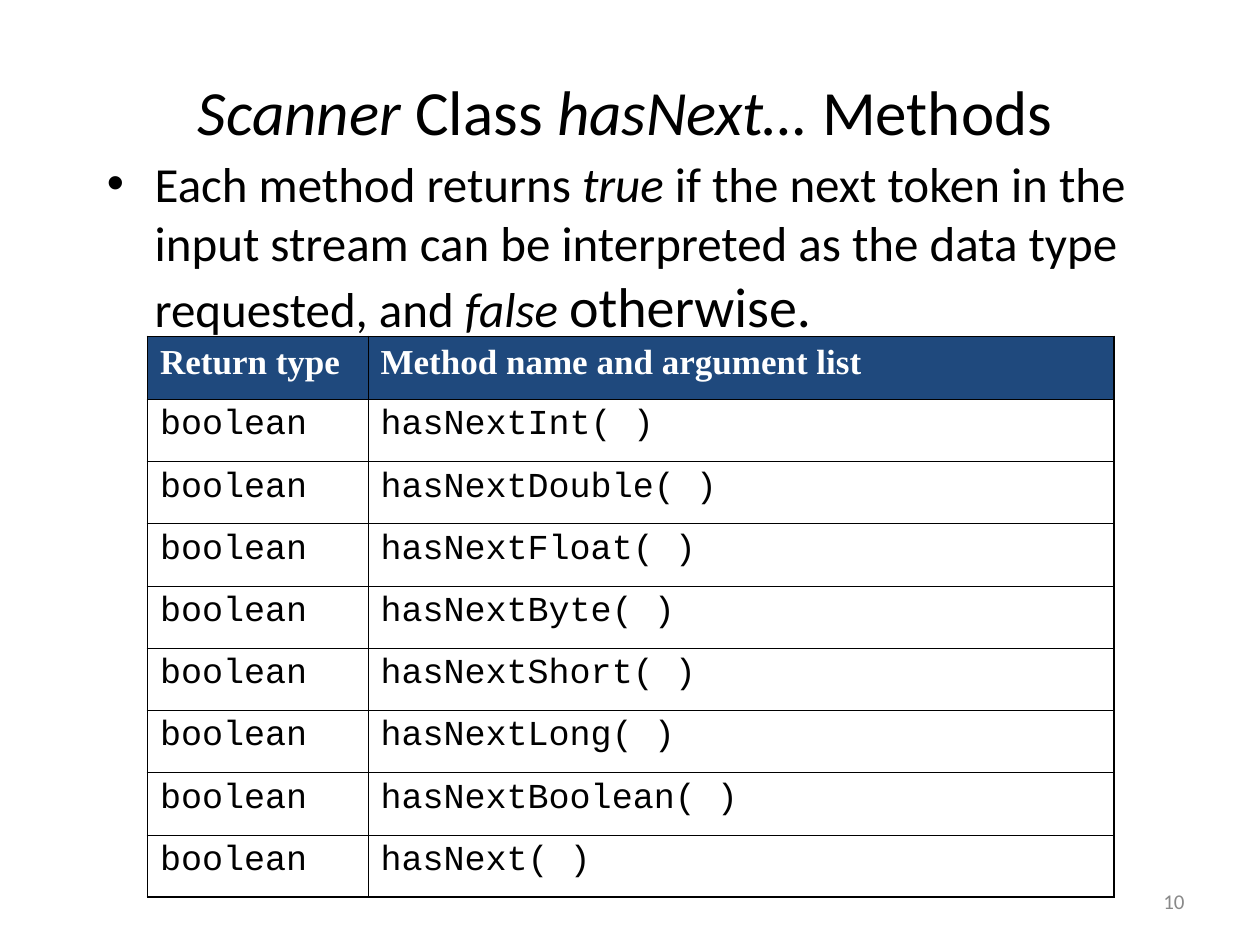
import pptx
import pptx.util
import pptx.dml.color
import pptx.enum.text
import pptx.oxml
import pptx.oxml.ns
import lxml.etree

Inches = pptx.util.Inches
Pt = pptx.util.Pt
ALIGN = pptx.enum.text.PP_ALIGN
ANCHOR = pptx.enum.text.MSO_ANCHOR
COLORS = {"text": "000000", "header": "1F497D", "header_text": "FFFFFF",
          "border": "000000", "number": "898989"}


def add_span(para, text, size=20, font="Calibri", color="text", bold=False, italic=False):
    span = para.add_run()
    span.text = text
    span.font.size = Pt(size)
    span.font.name = font
    span.font.bold = bold
    span.font.italic = italic
    span.font.color.rgb = pptx.dml.color.RGBColor.from_string(COLORS[color])


def add_border(cell, side, width):
    properties = cell._tc.get_or_add_tcPr()
    line = lxml.etree.SubElement(properties, pptx.oxml.ns.qn("a:ln" + side), w=str(Pt(width)))
    fill = lxml.etree.SubElement(line, pptx.oxml.ns.qn("a:solidFill"))
    lxml.etree.SubElement(fill, pptx.oxml.ns.qn("a:srgbClr"), val=COLORS["border"])


deck = pptx.Presentation()
deck.slide_width = Inches(10)
deck.slide_height = Inches(7.5)
page = deck.slides.add_slide(deck.slide_layouts[5])

title = page.shapes.title
title.left, title.top = Inches(0.67), Inches(0.5)
title.width, title.height = Inches(8.58), Inches(0.75)
title.text_frame.vertical_anchor = ANCHOR.MIDDLE
title_para = title.text_frame.paragraphs[0]
title_para.alignment = ALIGN.CENTER
for text, italic in [("Scanner", True), (" Class ", False), ("hasNext…", True), (" Methods", False)]:
    add_span(title_para, text, size=36, italic=italic)

body = page.shapes.add_textbox(Inches(0.75), Inches(1.17), Inches(8.5), Inches(5.92))
body.text_frame.word_wrap = True
body_para = body.text_frame.paragraphs[0]
body_para.space_before = Pt(8)
for text, size, italic in [
    ("Each method returns ", 28, False),
    ("true", 28, True),
    (" if the next token in the input stream can be interpreted as the data type requested, and ", 28, False),
    ("false ", 28, True),
    ("otherwise.", 32, False),
]:
    add_span(body_para, text, size=size, italic=italic)
bullet_properties = body_para._p.get_or_add_pPr()
bullet_properties.set("marL", str(Inches(0.38)))
bullet_properties.set("indent", str(Inches(-0.38)))
lxml.etree.SubElement(bullet_properties, pptx.oxml.ns.qn("a:buFont"), typeface="Arial")
lxml.etree.SubElement(bullet_properties, pptx.oxml.ns.qn("a:buChar"), char="•")

types = ["Int", "Double", "Float", "Byte", "Short", "Long", "Boolean", ""]
rows = [("Return type", "Method name and argument list")]
rows += [("boolean", f"hasNext{name}( )") for name in types]
table = page.shapes.add_table(len(rows), 2, Inches(1.17), Inches(2.67), Inches(7.67), Inches(4.45)).table
table.horz_banding = False
table.columns[0].width = Inches(1.75)
table.columns[1].width = Inches(5.92)
last_row = len(rows) - 1
for row_index, row in enumerate(rows):
    is_header = row_index == 0
    table.rows[row_index].height = Inches(0.5) if is_header else Inches((4.45 - 0.5) / last_row)
    for column_index, text in enumerate(row):
        cell = table.cell(row_index, column_index)
        outer_sides = {"L": column_index == 0, "R": column_index == 1,
                       "T": is_header, "B": row_index == last_row}
        for side, is_outer in outer_sides.items():
            add_border(cell, side, 1.08 if is_outer else 0.45)
        para = cell.text_frame.paragraphs[0]
        para.space_before = Pt(5)
        if is_header:
            cell.fill.solid()
            cell.fill.fore_color.rgb = pptx.dml.color.RGBColor.from_string(COLORS["header"])
            add_span(para, text, font="Times New Roman", color="header_text", bold=True)
        else:
            cell.fill.background()
            add_span(para, text, font="Courier New")

number = page.shapes.add_textbox(Inches(7.17), Inches(6.95), Inches(2.33), Inches(0.4))
number.text_frame.word_wrap = True
number.text_frame.vertical_anchor = ANCHOR.MIDDLE
number_para = number.text_frame.paragraphs[0]
number_para.alignment = ALIGN.RIGHT
add_span(number_para, "10", size=12, color="number")

deck.save("out.pptx")
